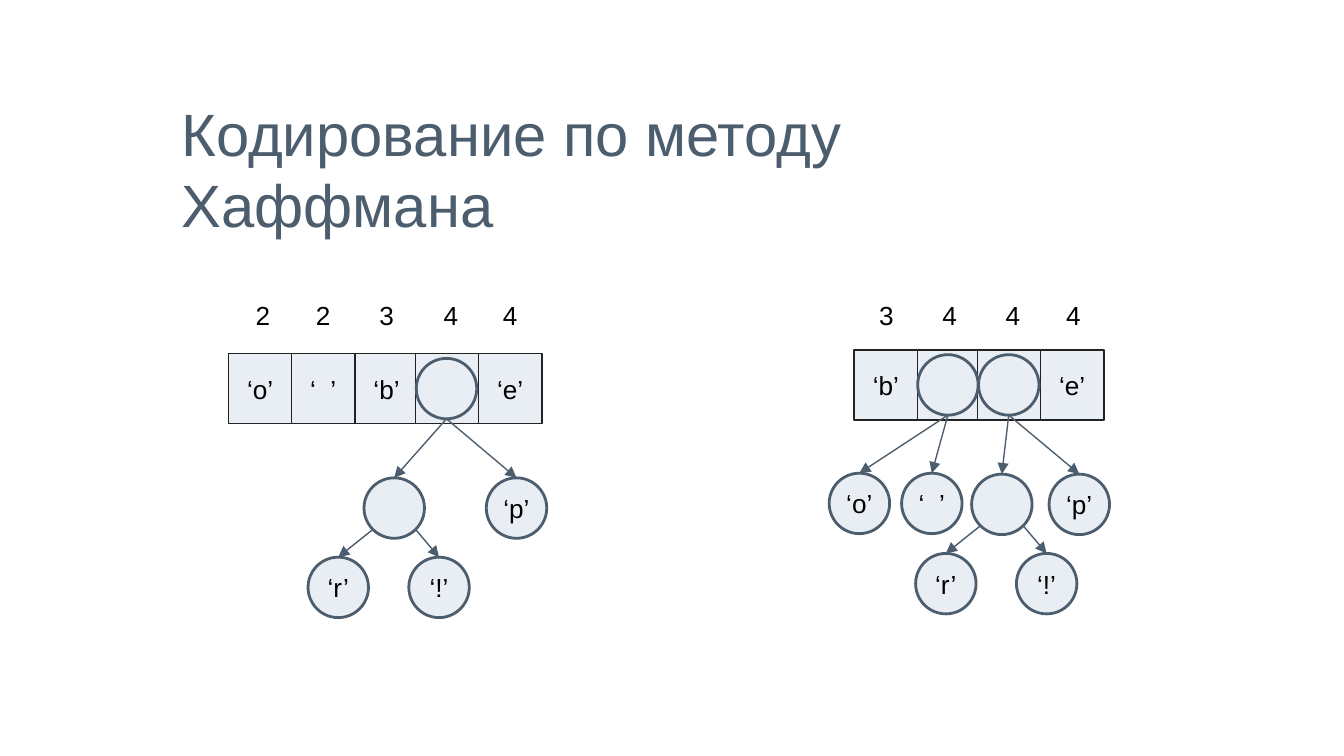
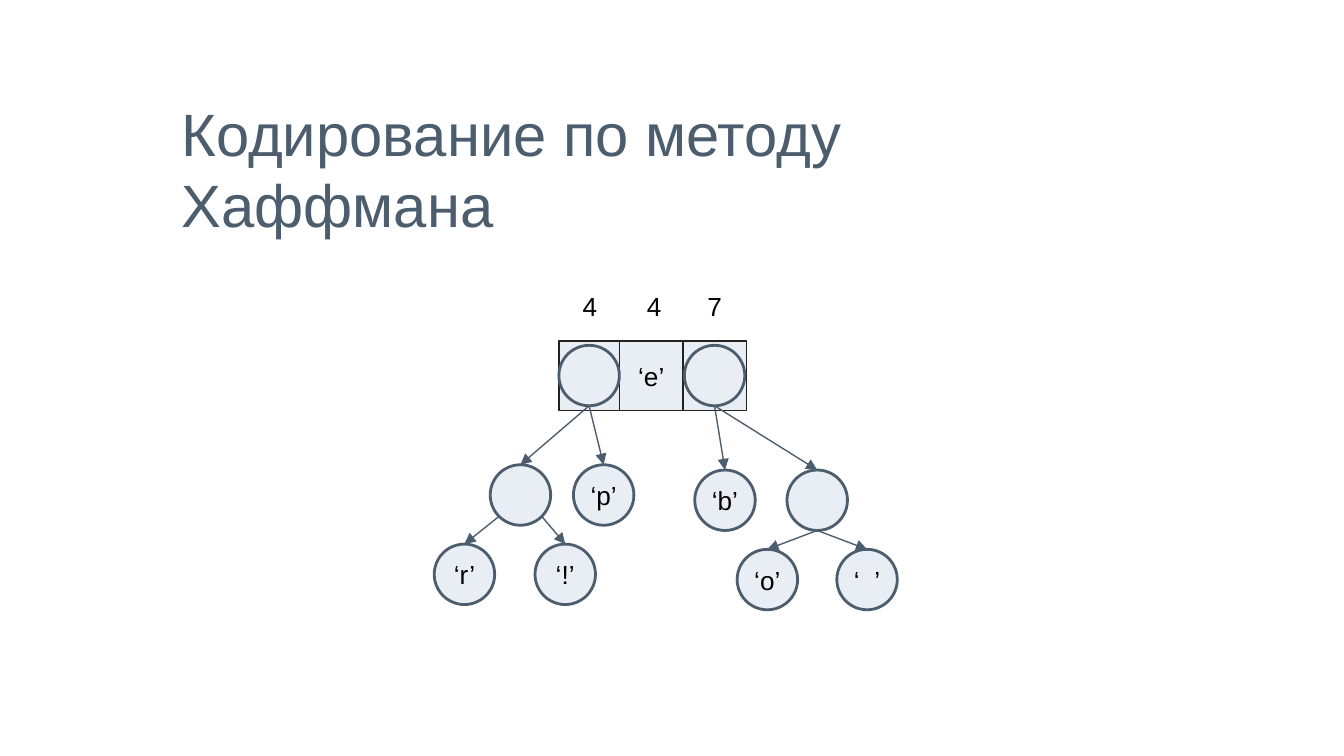
from dataclasses import dataclass
from math import sqrt

from lxml.etree import SubElement
from pptx import Presentation
from pptx.dml.color import RGBColor
from pptx.enum.shapes import MSO_CONNECTOR, MSO_SHAPE
from pptx.enum.text import MSO_ANCHOR, MSO_AUTO_SIZE, PP_ALIGN
from pptx.oxml.ns import qn
from pptx.util import Pt


@dataclass(frozen=True)
class Theme:
    font: str = "Arial"
    slate: RGBColor = RGBColor(0x4C, 0x5D, 0x6E)
    fill: RGBColor = RGBColor(0xE9, 0xED, 0xF4)
    border: RGBColor = RGBColor(0x22, 0x22, 0x22)
    black: RGBColor = RGBColor(0, 0, 0)
    title_size: int = 32
    text_size: int = 14


@dataclass(frozen=True)
class Node:
    text: str = ""
    dx: float = 0
    dy: float = 64
    children: tuple = ()
    diagonal: bool = False


@dataclass(frozen=True)
class Cell:
    left: float
    count: str
    count_left: float
    text: str = ""


THEME = Theme()
TITLE = "Кодирование по методу Хаффмана"
CELL_W, CELL_H = 34, 37.5
COUNT_H = 26.6
NODE = 32.4
LEVEL = 42.5
INSET = 7.2


def put_text(sp, text, size=THEME.text_size, color=THEME.black,
             align=PP_ALIGN.CENTER, inset=0):
    tf = sp.text_frame
    tf.word_wrap = True
    tf.auto_size = MSO_AUTO_SIZE.NONE
    tf.vertical_anchor = MSO_ANCHOR.MIDDLE
    tf.margin_left = tf.margin_right = Pt(inset)
    tf.margin_top = tf.margin_bottom = Pt(inset)
    p = tf.paragraphs[0]
    p.alignment = align
    r = p.add_run()
    r.text = text
    r.font.name = THEME.font
    r.font.size = Pt(size)
    r.font.color.rgb = color


def add_title_slide(prs):
    s = prs.slides.add_slide(prs.slide_layouts[5])
    sp = s.shapes.title
    sp.left, sp.top, sp.width, sp.height = Pt(90), Pt(45), Pt(540), Pt(90)
    put_text(sp, TITLE, size=THEME.title_size, color=THEME.slate,
             align=PP_ALIGN.LEFT, inset=INSET)
    return s


def add_box(s, kind, left, top, width, height, text, line, line_width):
    sp = s.shapes.add_shape(kind, Pt(left), Pt(top), Pt(width), Pt(height))
    sp.shadow.inherit = False
    sp.fill.solid()
    sp.fill.fore_color.rgb = THEME.fill
    sp.line.color.rgb = line
    sp.line.width = Pt(line_width)
    if text:
        put_text(sp, text)
    return sp


def add_queue(s, top, count_top, cells):
    for cell in cells:
        add_box(s, MSO_SHAPE.RECTANGLE, cell.left, top, CELL_W, CELL_H,
                cell.text, THEME.border, 0.75)
        tb = s.shapes.add_textbox(Pt(cell.count_left), Pt(count_top),
                                  Pt(CELL_W), Pt(COUNT_H))
        put_text(tb, cell.count)


def add_arrow(s, x, y, target):
    c = s.shapes.add_connector(MSO_CONNECTOR.STRAIGHT, Pt(x), Pt(y), Pt(x), Pt(y))
    c.end_connect(target, 0)
    c.line.color.rgb = THEME.slate
    c.line.width = Pt(0.75)
    spPr = c._element.spPr
    SubElement(spPr.find(qn("a:ln")), qn("a:tailEnd"), type="triangle")
    SubElement(spPr, qn("a:effectLst"))


def add_tree(s, left, top, node):
    sp = add_box(s, MSO_SHAPE.OVAL, left, top, NODE, NODE,
                 node.text, THEME.slate, 1.5)
    radius = NODE / 2
    for child in node.children:
        target = add_tree(s, left + child.dx, top + child.dy, child)
        x, y = left + radius, top + NODE
        if node.diagonal:
            reach = radius / sqrt(2)
            x += reach if child.dx > 0 else -reach
            y = top + radius + reach
        add_arrow(s, x, y, target)
    return sp


def rare_pair(dx):
    leaves = Node("‘r’", -30, LEVEL), Node("‘!’", 24, LEVEL)
    return Node(dx=dx, children=leaves, diagonal=True)


def build_first_steps(prs):
    s = add_title_slide(prs)
    add_queue(s, 189.4, 155.5, (
        Cell(122.4, "2", 123.8, "‘o’"),
        Cell(156.2, "2", 156.2, "‘  ’"),
        Cell(190.1, "3", 190.1, "‘b’"),
        Cell(222.5, "4", 224.6),
        Cell(256.3, "4", 256.3, "‘e’"),
    ))
    add_tree(s, 223, 192, Node(children=(rare_pair(-28), Node("‘p’", 37.5))))

    add_queue(s, 187.6, 155.5, (
        Cell(457.6, "3", 457.9, "‘b’"),
        Cell(491.6, "4", 491.8),
        Cell(523.6, "4", 525.6),
        Cell(557.4, "4", 558, "‘e’"),
    ))
    add_tree(s, 491.6, 190, Node(children=(
        Node("‘o’", -47.4, 63.5), Node("‘  ’", -8.6, 63.5))))
    add_tree(s, 524.2, 190, Node(children=(rare_pair(-3.7), Node("‘p’", 37.8))))


def build_next_step(prs):
    s = add_title_slide(prs)
    add_queue(s, 182.6, 150.5, (
        Cell(299.5, "4", 299),
        Cell(331.9, "4", 333.4, "‘e’"),
        Cell(365.8, "7", 365.8),
    ))
    add_tree(s, 299.4, 185, Node(children=(rare_pair(-36.8), Node("‘p’", 7.8))))
    space_pair = Node(dx=55, dy=66.8, children=(
        Node("‘o’", -26.7, LEVEL), Node("‘  ’", 26.7, LEVEL)))
    add_tree(s, 366.6, 185, Node(children=(Node("‘b’", 5.6, 66.8), space_pair)))


def main():
    prs = Presentation()
    prs.slide_width, prs.slide_height = Pt(720), Pt(405)
    build_first_steps(prs)
    build_next_step(prs)
    prs.save("out.pptx")


if __name__ == "__main__":
    main()
